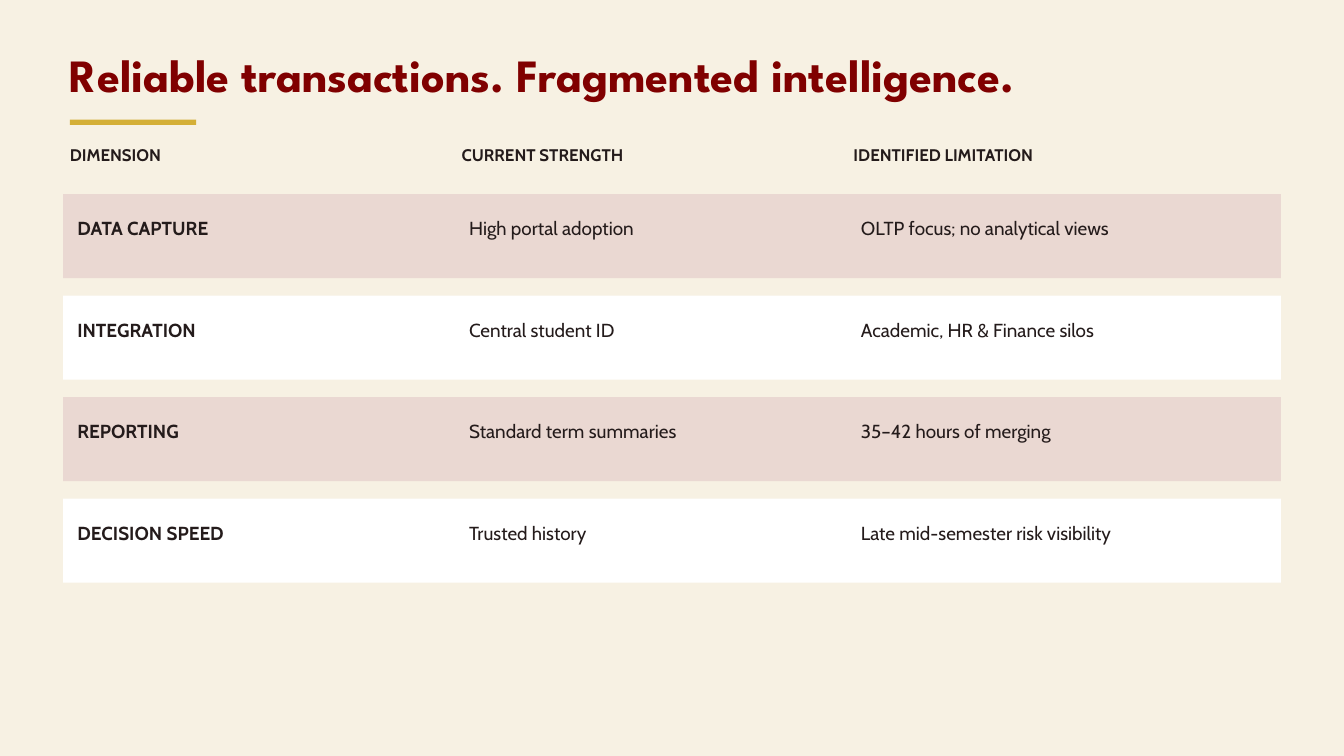
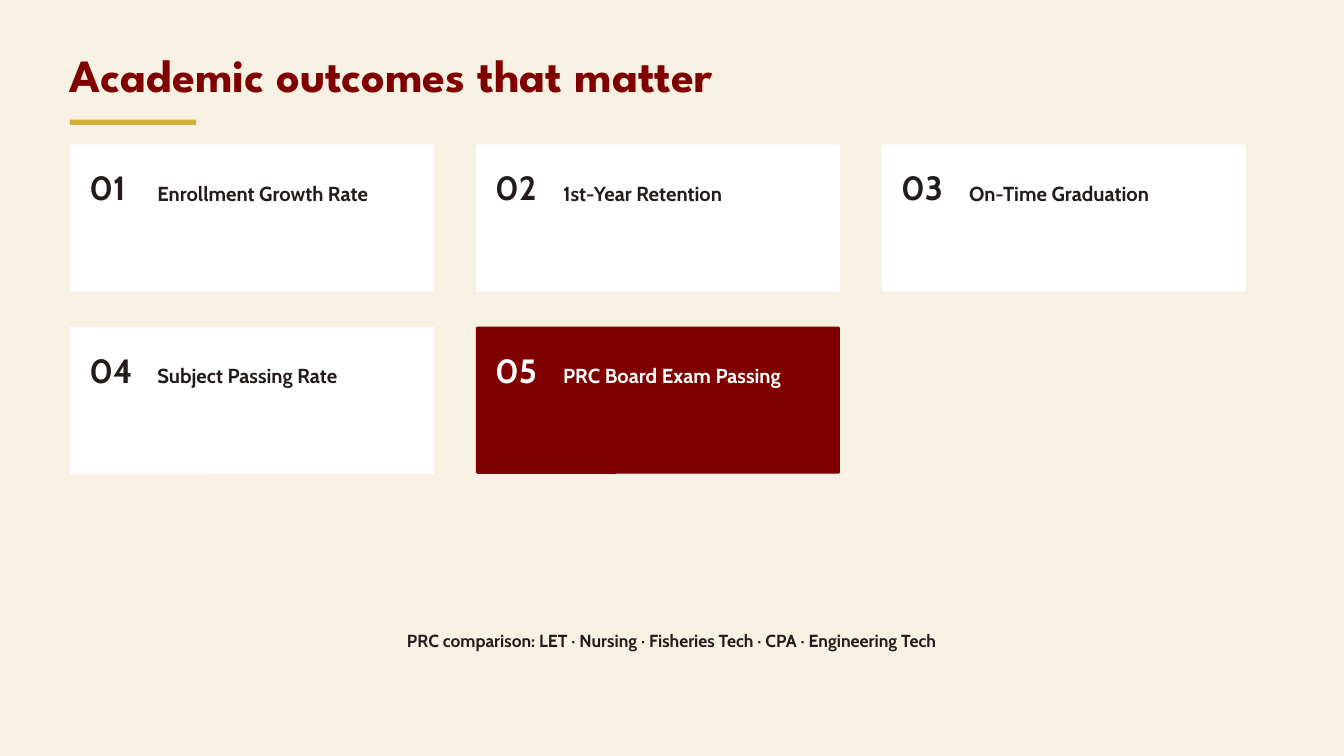
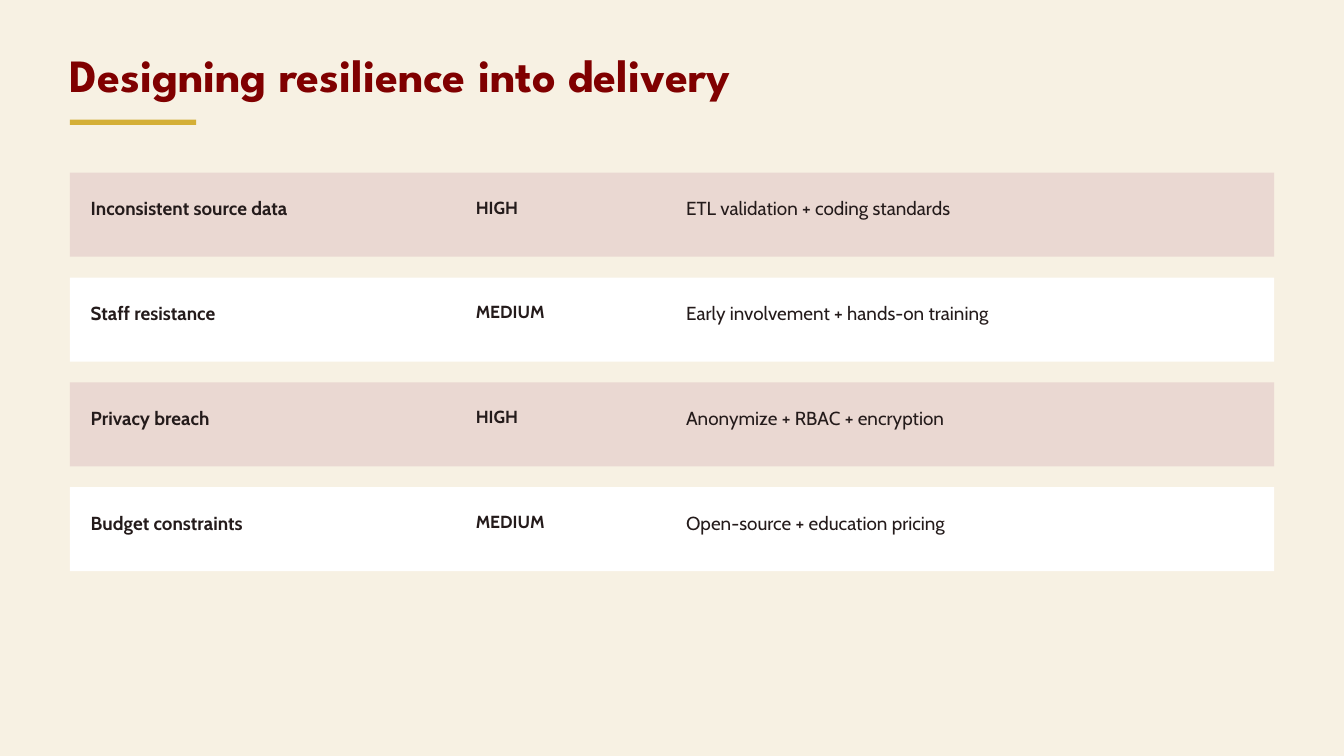
from collections import namedtuple

from pptx import Presentation
from pptx.dml.color import RGBColor
from pptx.enum.shapes import MSO_SHAPE
from pptx.enum.text import PP_ALIGN
from pptx.util import Inches, Pt

CREAM, MAROON, GOLD = "F7F1E3", "800000", "D4AF37"
ROSE, WHITE, INK = "EAD8D2", "FFFFFF", "241B1B"
HEADING_FONT, BODY_FONT = "League Spartan", "Cabin"
MARGIN = 1.04
BAND_HEIGHT = 1.25
CARD_WIDTH, CARD_HEIGHT = 5.42, 2.19
CARD_PITCH_X, CARD_PITCH_Y = 6.04, 2.71
COLUMN_PITCH = 5.83

Column = namedtuple("Column", "offset width size bold")

STRENGTH_HEADINGS = ["DIMENSION", "CURRENT STRENGTH", "IDENTIFIED LIMITATION"]
STRENGTH_COLUMNS = [
    Column(0.21 + index * COLUMN_PITCH, 5.21, 20.25, index == 0) for index in range(3)
]
STRENGTH_ROWS = [
    ("DATA CAPTURE", "High portal adoption", "OLTP focus; no analytical views"),
    ("INTEGRATION", "Central student ID", "Academic, HR & Finance silos"),
    ("REPORTING", "Standard term summaries", "35–42 hours of merging"),
    ("DECISION SPEED", "Trusted history", "Late mid-semester risk visibility"),
]
OUTCOMES = [
    "Enrollment Growth Rate",
    "1st-Year Retention",
    "On-Time Graduation",
    "Subject Passing Rate",
    "PRC Board Exam Passing",
]
RISK_COLUMNS = [
    Column(0.31, 5, 20.25, True),
    Column(6.04, 2.29, 18.75, True),
    Column(9.17, 7.92, 20.25, False),
]
RISK_ROWS = [
    ("Inconsistent source data", "HIGH", "ETL validation + coding standards"),
    ("Staff resistance", "MEDIUM", "Early involvement + hands-on training"),
    ("Privacy breach", "HIGH", "Anonymize + RBAC + encryption"),
    ("Budget constraints", "MEDIUM", "Open-source + education pricing"),
]


def color(value):
    """Turn a hex string into a colour."""
    return RGBColor.from_string(value)


def add_panel(slide, left, top, width, height, fill, corner=0):
    """Add a plain filled rectangle, rounded when a corner radius is given."""
    preset = MSO_SHAPE.ROUNDED_RECTANGLE if corner else MSO_SHAPE.RECTANGLE
    panel = slide.shapes.add_shape(
        preset, Inches(left), Inches(top), Inches(width), Inches(height)
    )
    if corner:
        panel.adjustments[0] = corner / min(width, height)
    panel.shadow.inherit = False
    panel.fill.solid()
    panel.fill.fore_color.rgb = color(fill)
    panel.line.fill.background()


def add_label(slide, text, left, top, width, size, bold=True, ink=INK,
              font=BODY_FONT, leading=1.3, align=PP_ALIGN.LEFT):
    """Add one line of text in a box without insets."""
    label = slide.shapes.add_textbox(
        Inches(left), Inches(top), Inches(width), Inches(size * leading / 72)
    )
    frame = label.text_frame
    frame.margin_left = frame.margin_right = frame.margin_top = frame.margin_bottom = 0
    frame.word_wrap = True
    frame.text = text
    paragraph = frame.paragraphs[0]
    paragraph.alignment = align
    paragraph.line_spacing = Pt(size * leading)
    run_font = paragraph.runs[0].font
    run_font.name = font
    run_font.size = Pt(size)
    run_font.bold = bold
    run_font.color.rgb = color(ink)


def add_titled_slide(deck, title):
    """Add a slide with the shared background, title and gold rule."""
    slide = deck.slides.add_slide(deck.slide_layouts[6])
    slide.background.fill.solid()
    slide.background.fill.fore_color.rgb = color(CREAM)
    add_label(slide, title, MARGIN, 0.82, 17.92, 49.5, ink=MAROON,
              font=HEADING_FONT, leading=1.02)
    add_panel(slide, MARGIN, 1.78, 1.88, 0.08, GOLD)
    return slide


def add_bands(slide, left, top, width, pitch, text_offset, columns, rows):
    """Stack alternating bands with one text per column."""
    for index, row in enumerate(rows):
        band_top = top + index * pitch
        add_panel(slide, left, band_top, width, BAND_HEIGHT, (ROSE, WHITE)[index % 2])
        for column, text in zip(columns, row):
            add_label(slide, text, left + column.offset, band_top + text_offset,
                      column.width, column.size, column.bold)


def add_outcome_card(slide, left, top, number, outcome, fill, ink):
    """Place a numbered outcome on a card."""
    add_panel(slide, left, top, CARD_WIDTH, CARD_HEIGHT, fill, corner=0.03)
    add_label(slide, f"{number:02d}", left + 0.29, top + 0.29, 0.94, 36, ink=ink)
    add_label(slide, outcome, left + 1.3, top + 0.51, 3.65, 21.75, ink=ink)


def build_strengths(deck):
    """Build the slide comparing strengths and limitations."""
    slide = add_titled_slide(deck, "Reliable transactions. Fragmented intelligence.")
    for index, heading in enumerate(STRENGTH_HEADINGS):
        add_label(slide, heading, MARGIN + index * COLUMN_PITCH, 2.13, CARD_WIDTH, 18)
    add_bands(slide, 0.94, 2.89, 18.12, 1.51, 0.31, STRENGTH_COLUMNS, STRENGTH_ROWS)


def build_outcomes(deck):
    """Build the slide of numbered outcome cards."""
    slide = add_titled_slide(deck, "Academic outcomes that matter")
    for index, outcome in enumerate(OUTCOMES):
        row, column = divmod(index, 3)
        highlighted = index == len(OUTCOMES) - 1
        fill, ink = (MAROON, WHITE) if highlighted else (WHITE, INK)
        add_outcome_card(slide, MARGIN + column * CARD_PITCH_X,
                         2.15 + row * CARD_PITCH_Y, index + 1, outcome, fill, ink)
    add_label(slide,
              "PRC comparison: LET · Nursing · Fisheries Tech · CPA · Engineering Tech",
              2.08, 9.35, 15.83, 18.75, align=PP_ALIGN.CENTER)


def build_risks(deck):
    """Build the slide of risks, severities and responses."""
    slide = add_titled_slide(deck, "Designing resilience into delivery")
    add_bands(slide, MARGIN, 2.57, 17.92, 1.56, 0.33, RISK_COLUMNS, RISK_ROWS)


def main():
    """Build and save the presentation."""
    deck = Presentation()
    deck.slide_width, deck.slide_height = Inches(20), Inches(11.25)
    build_strengths(deck)
    build_outcomes(deck)
    build_risks(deck)
    deck.save("out.pptx")


if __name__ == "__main__":
    main()
